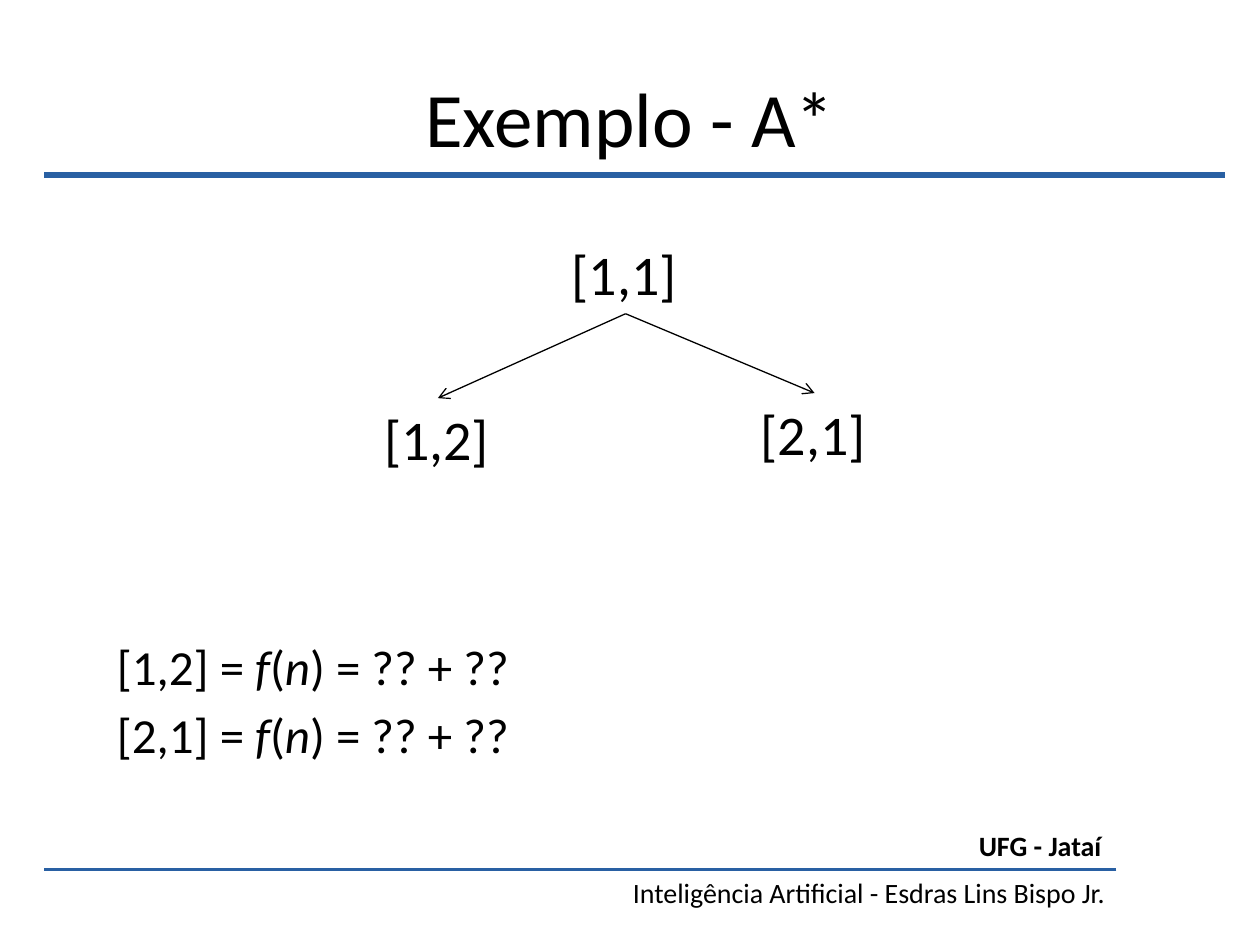
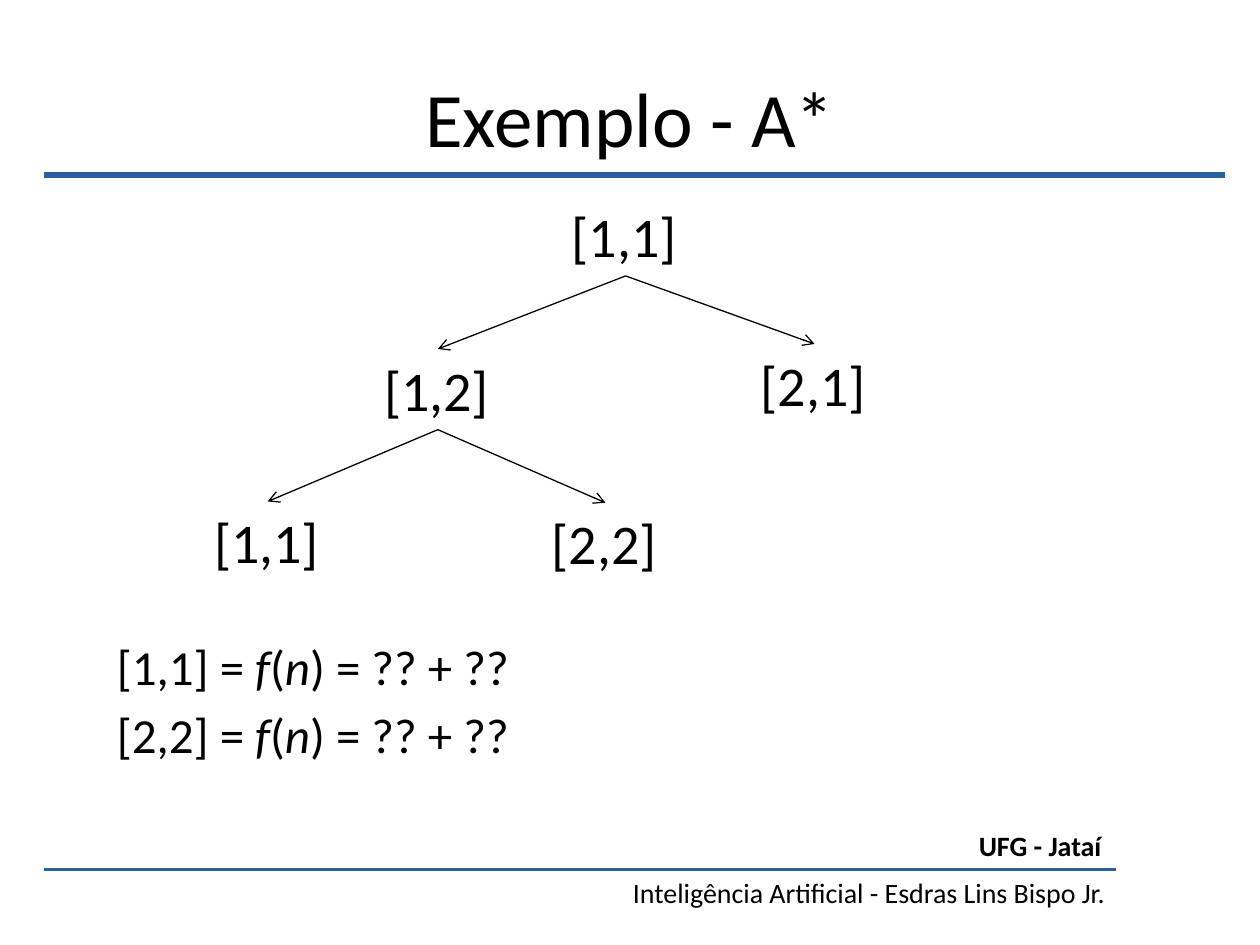
from lxml import etree
from pptx import Presentation
from pptx.dml.color import RGBColor
from pptx.enum.shapes import MSO_CONNECTOR
from pptx.enum.text import MSO_ANCHOR, MSO_AUTO_SIZE as FIT, PP_ALIGN as ALIGN
from pptx.oxml.ns import qn
from pptx.util import Inches, Pt

BLACK = RGBColor(0x00, 0x00, 0x00)
BLUE = RGBColor(0x29, 0x60, 0xA3)
FONT = "Calibri"
BOTTOM, TOP = 2, 0
NODE_W, NODE_H = 1.05, 0.64
RULE_LEFT = 0.35
COST = "{} = _f_(_n_) = ?? + ??"

STEPS = [
    {
        "tree": [
            ("[1,1]", 4.44, 1.85, None),
            ("[1,2]", 2.95, 3.16, 0),
            ("[2,1]", 5.94, 3.12, 0),
        ],
        "costs": ["[1,2]", "[2,1]"],
    },
    {
        "tree": [
            ("[1,1]", 4.44, 1.55, None),
            ("[1,2]", 2.95, 2.77, 0),
            ("[2,1]", 5.94, 2.73, 0),
            ("[1,1]", 1.6, 3.98, 1),
            ("[2,2]", 4.28, 3.99, 1),
        ],
        "costs": ["[1,1]", "[2,2]"],
    },
]


def write(shape, text, size, bold=False, align=ALIGN.LEFT, before=0, wrap=False, fit=FIT.SHAPE_TO_FIT_TEXT):
    frame = shape.text_frame
    frame.word_wrap = wrap
    frame.auto_size = fit
    for number, line in enumerate(text.split("\n")):
        paragraph = frame.add_paragraph() if number else frame.paragraphs[0]
        paragraph.alignment = align
        paragraph.space_before = Pt(before)
        for position, part in enumerate(line.split("_")):
            run = paragraph.add_run()
            run.text = part
            run.font.name = FONT
            run.font.size = Pt(size)
            run.font.bold = bold
            run.font.italic = position % 2 == 1
            run.font.color.rgb = BLACK
    return shape


def draw_line(slide, start, end, color, width):
    line = slide.shapes.add_connector(MSO_CONNECTOR.STRAIGHT, *map(Inches, start + end))
    line.line.color.rgb = color
    line.line.width = Pt(width)
    etree.SubElement(line._element.spPr, qn("a:effectLst"))
    return line


prs = Presentation()
prs.slide_width = Inches(10)
prs.slide_height = Inches(7.5)

for step in STEPS:
    slide = prs.slides.add_slide(prs.slide_layouts[5])
    shapes = slide.shapes

    title = shapes.title
    title.left, title.top, title.width, title.height = map(Inches, (0.5, 0.3, 9, 1.25))
    title.text_frame.vertical_anchor = MSO_ANCHOR.MIDDLE
    write(title, "Exemplo - A*", 44, align=ALIGN.CENTER, wrap=True, fit=FIT.NONE)

    nodes = []
    for label, left, top, parent in step["tree"]:
        node = shapes.add_textbox(*map(Inches, (left, top, NODE_W, NODE_H)))
        nodes.append(write(node, label, 32))
        if parent is not None:
            branch = draw_line(slide, (0, 0), (1, 1), BLACK, 0.75)
            branch.begin_connect(nodes[parent], BOTTOM)
            branch.end_connect(node, TOP)
            etree.SubElement(branch.line._get_or_add_ln(), qn("a:tailEnd"), type="arrow")

    costs = shapes.add_textbox(*map(Inches, (0.83, 5, 8.27, 1.42)))
    write(costs, "\n".join(map(COST.format, step["costs"])), 28, before=5.6, wrap=True, fit=FIT.NONE)

    for right, y, width in [(9.72, 1.39, 3), (8.86, 6.9, 1.5)]:
        draw_line(slide, (right, y), (RULE_LEFT, y), BLUE, width)

    campus = shapes.add_textbox(*map(Inches, (7.65, 6.53, 1.19, 0.37)))
    write(campus, "UFG - Jataí", 16, bold=True, align=ALIGN.RIGHT)
    course = shapes.add_textbox(*map(Inches, (4.88, 6.9, 3.99, 0.37)))
    write(course, "Inteligência Artificial - Esdras Lins Bispo Jr.", 16, align=ALIGN.RIGHT)

prs.save("out.pptx")
